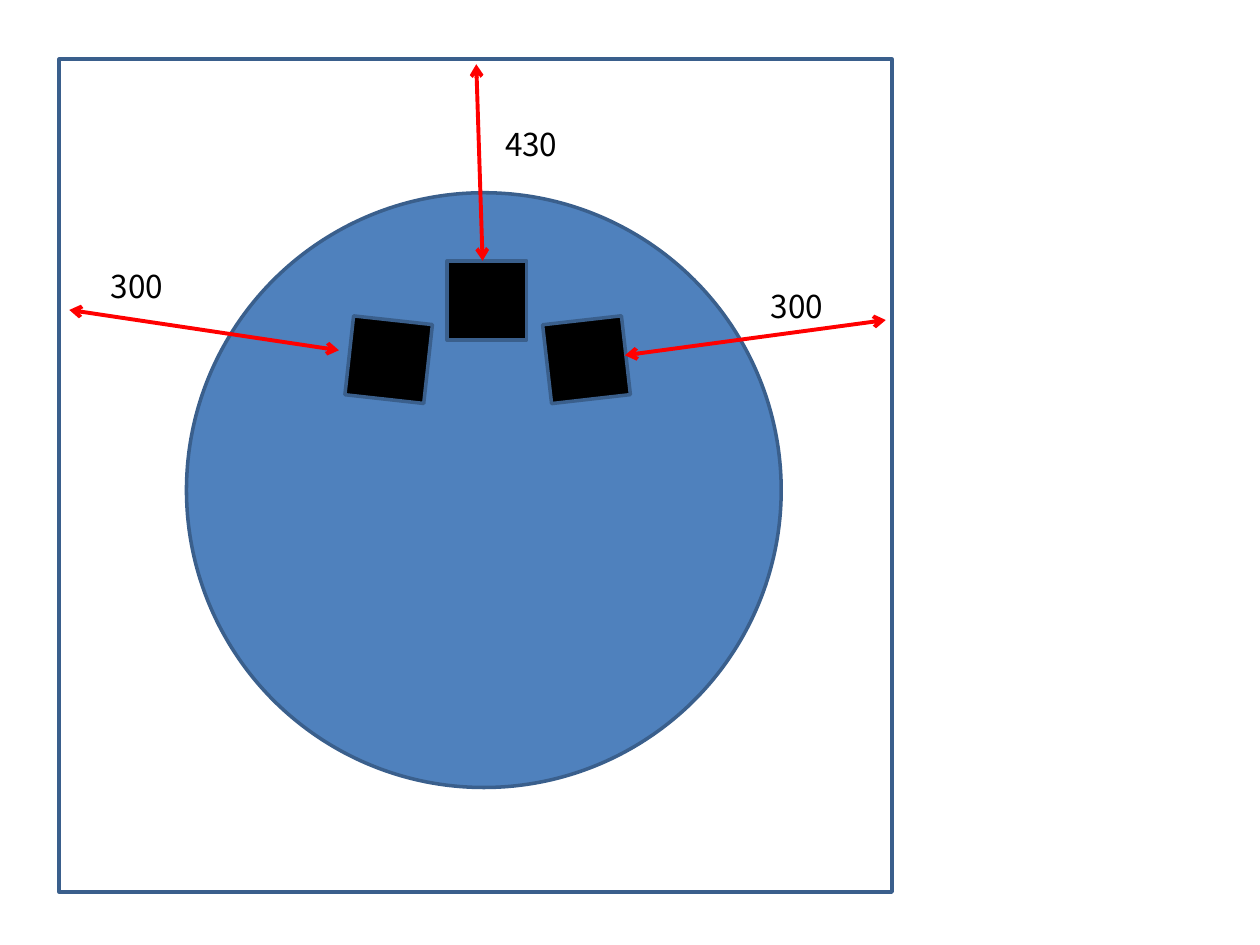
from dataclasses import dataclass

from lxml.etree import SubElement
from pptx import Presentation
from pptx.dml.color import RGBColor
from pptx.enum.shapes import MSO_CONNECTOR, MSO_SHAPE
from pptx.enum.text import MSO_AUTO_SIZE
from pptx.oxml.ns import qn
from pptx.util import Inches, Pt


@dataclass(frozen=True)
class Theme:
    outline: str = "3A5F8C"
    disc: str = "4F81BD"
    sensor: str = "000000"
    arrow: str = "FF0000"
    text: str = "000000"
    font: str = "Noto Sans CJK KR"
    text_size: float = 18
    outline_width: float = 2
    arrow_width: float = 2.25


class Diagram:
    def __init__(self, slide, theme):
        self.slide = slide
        self.theme = theme

    def shape(self, kind, left, top, size, fill=None, rotation=0):
        s = self.slide.shapes.add_shape(
            kind, Inches(left), Inches(top), Inches(size), Inches(size))
        s.shadow.inherit = False
        s.rotation = rotation
        if fill:
            s.fill.solid()
            s.fill.fore_color.rgb = RGBColor.from_string(fill)
        else:
            s.fill.background()
        self.stroke(s.line, self.theme.outline, self.theme.outline_width)

    def stroke(self, line, color, width):
        line.color.rgb = RGBColor.from_string(color)
        line.width = Pt(width)

    def arrow(self, start, end):
        c = self.slide.shapes.add_connector(
            MSO_CONNECTOR.STRAIGHT, *map(Inches, start + end))
        self.stroke(c.line, self.theme.arrow, self.theme.arrow_width)
        ln = c.line._get_or_add_ln()
        for tag in ("a:headEnd", "a:tailEnd"):
            SubElement(ln, qn(tag), type="arrow")
        SubElement(c._element.spPr, qn("a:effectLst"))

    def label(self, text, left, top):
        box = self.slide.shapes.add_textbox(
            Inches(left), Inches(top), Inches(0.62), Inches(0.4))
        tf = box.text_frame
        tf.word_wrap = False
        tf.auto_size = MSO_AUTO_SIZE.SHAPE_TO_FIT_TEXT
        r = tf.paragraphs[0].add_run()
        r.text = text
        style = {"name": self.theme.font, "size": Pt(self.theme.text_size)}
        for name, value in style.items():
            setattr(r.font, name, value)
        r.font.color.rgb = RGBColor.from_string(self.theme.text)
        # East Asian typeface matches the Latin one
        SubElement(r.font._element, qn("a:ea"), typeface=self.theme.font)


prs = Presentation()
prs.slide_width, prs.slide_height = Inches(10), Inches(7.5)
theme = Theme()
diagram = Diagram(prs.slides.add_slide(prs.slide_layouts[6]), theme)

# Field and round body
diagram.shape(MSO_SHAPE.RECTANGLE, 0.47, 0.47, 6.61)
diagram.shape(MSO_SHAPE.OVAL, 1.48, 1.53, 4.72, theme.disc)

# Sensors: front, left, right
for left, top, rotation in ((3.55, 2.07, 0), (2.77, 2.54, 6.3), (4.34, 2.54, 353.5)):
    diagram.shape(MSO_SHAPE.RECTANGLE, left, top, 0.63, theme.sensor, rotation)

# Distances from the sensors to the walls
distances = (
    ((4.96, 2.82), (7.03, 2.54), "300", (6.02, 2.23)),
    ((0.55, 2.46), (2.69, 2.78), "300", (0.78, 2.07)),
    ((3.78, 0.51), (3.83, 2.07), "430", (3.91, 0.94)),
)
for start, end, text, position in distances:
    diagram.arrow(start, end)
    diagram.label(text, *position)

prs.save("out.pptx")
